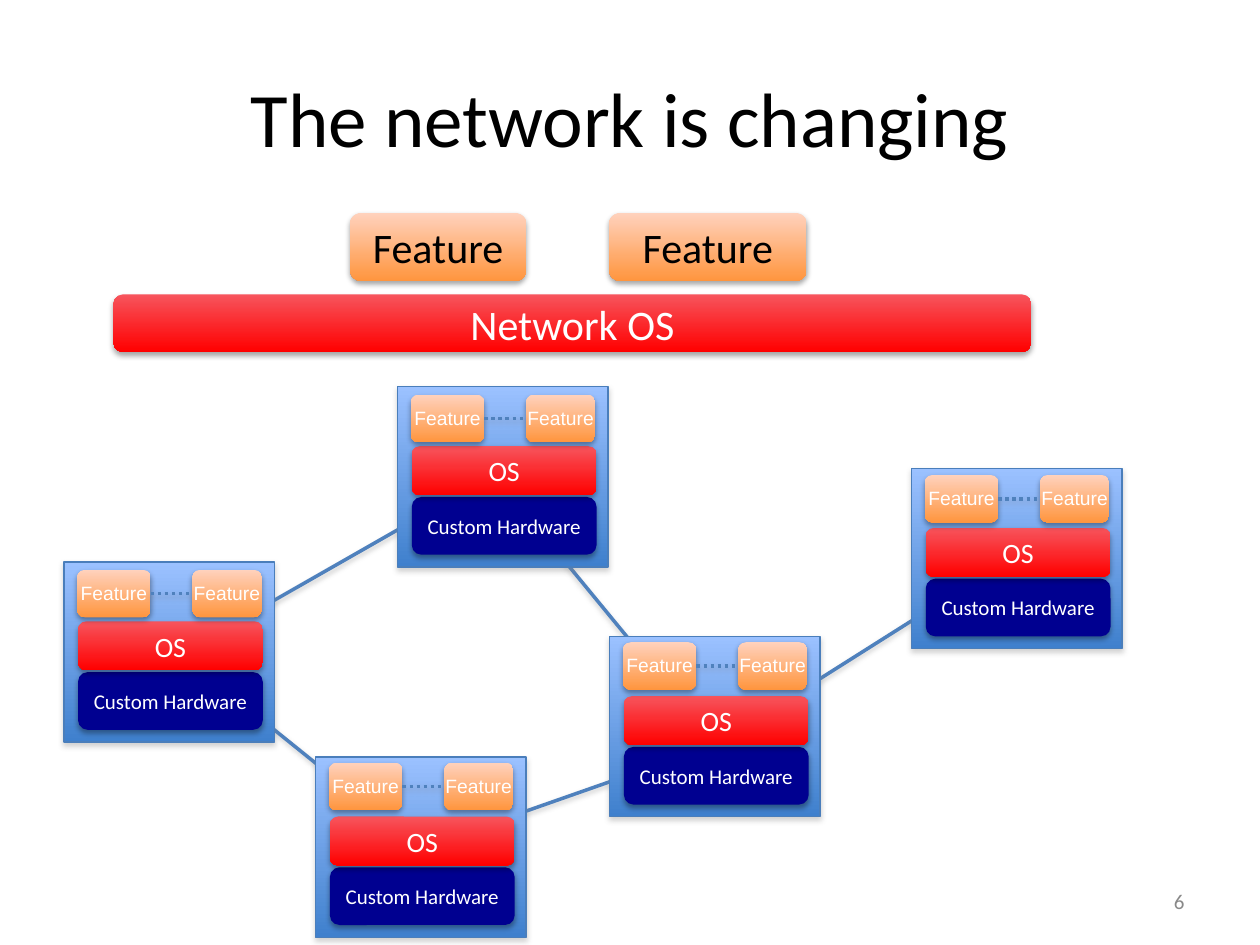
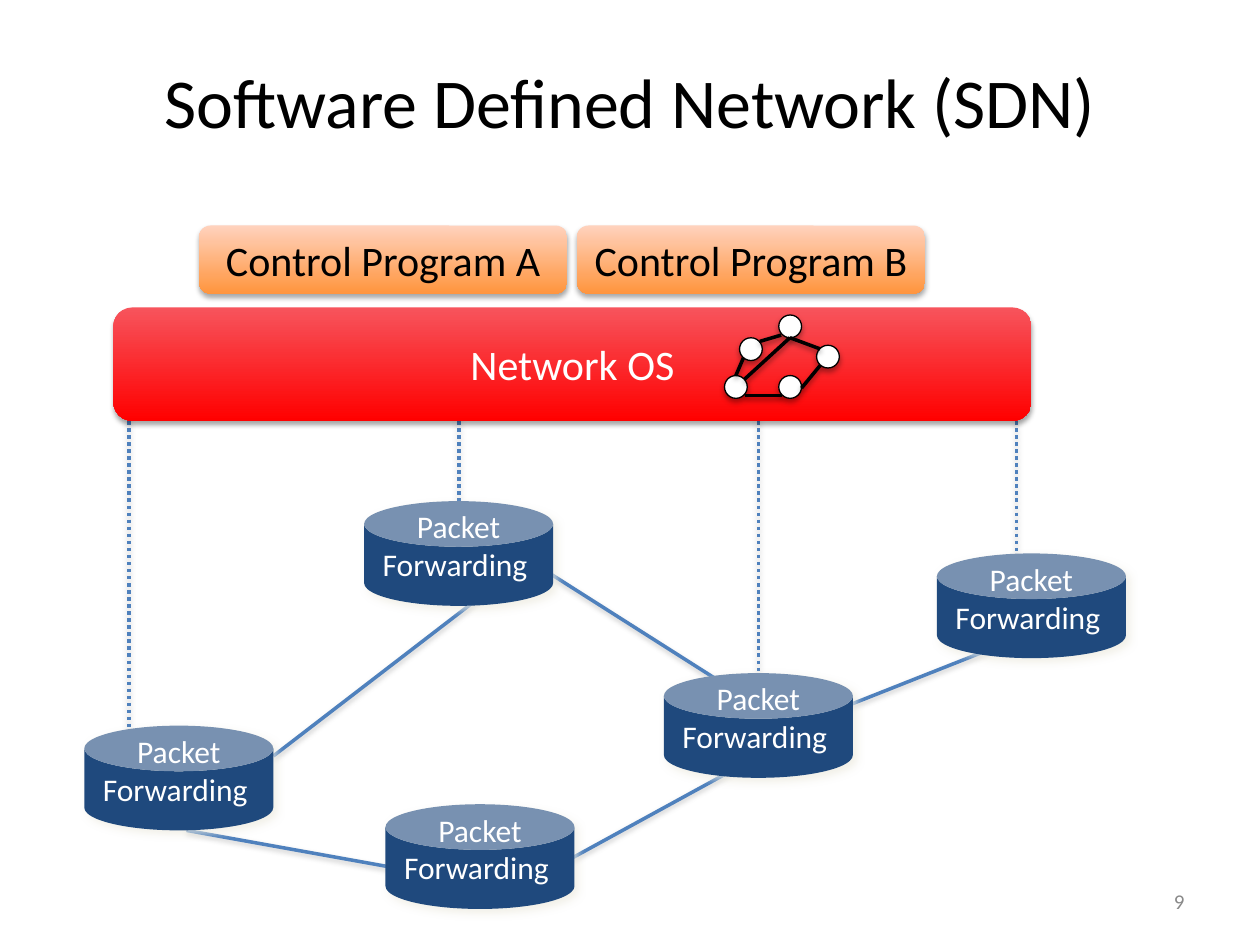
from pptx import Presentation
from pptx import util as u
from pptx.dml.color import RGBColor
from pptx.enum import dml, shapes, text
from pptx.oxml import parse_xml

Pt = u.Pt
COLORS = {
    "white": "FFFFFF", "black": "000000", "gray": "898989", "shade": "808080",
    "link": "4F81BD", "edge": "4A7EBB", "hardware": "000090",
    "can": "1F497D", "glow": "EEECE1",
}
GRADIENTS = {
    "node": ("9BC1FF", "3F80CD"),
    "os": ("F7545C", "FF0000"),
    "feature": ("FFD2BD", "FF953E"),
}
SHADOW = (
    '<a:effectLst xmlns:a="http://schemas.openxmlformats.org/drawingml/2006/main">'
    '<a:outerShdw blurRad="{}" dist="{}" dir="{}" algn="ctr" rotWithShape="0">'
    '<a:srgbClr val="{}"><a:alpha val="{}"/></a:srgbClr></a:outerShdw></a:effectLst>'
)
RECT = shapes.MSO_SHAPE.RECTANGLE
ROUND = shapes.MSO_SHAPE.ROUNDED_RECTANGLE
CAN = shapes.MSO_SHAPE.CAN
OVAL = shapes.MSO_SHAPE.OVAL
CENTER, LEFT, RIGHT = text.PP_ALIGN.CENTER, text.PP_ALIGN.LEFT, text.PP_ALIGN.RIGHT


def box(s, kind, at, fill=None, label="", size=12, color="white", line=None,
        shade="black", align=CENTER, font="Calibri", wrap=True):
    at = [Pt(v) for v in at]
    if kind is None:
        sp = s.shapes.add_textbox(*at)
    else:
        sp = s.shapes.add_shape(kind, *at)
        if fill in GRADIENTS:
            sp.fill.gradient()
            sp.fill.gradient_angle = 270
            for stop, value in zip(sp.fill.gradient_stops, GRADIENTS[fill]):
                stop.color.rgb = RGBColor.from_string(value)
        else:
            sp.fill.solid()
            sp.fill.fore_color.rgb = RGBColor.from_string(COLORS[fill])
        if line:
            sp.line.color.rgb = RGBColor.from_string(COLORS[line])
            sp.line.width = Pt(0.75)
        else:
            sp.line.fill.background()
        if shade == "glow":
            effect = SHADOW.format(Pt(5), Pt(3), 2700000, COLORS[shade], 75000)
        else:
            effect = SHADOW.format(Pt(3.1), Pt(1.8), 5400000, COLORS[shade], 35000)
        sp._element.spPr.append(parse_xml(effect))
    if label:
        tf = sp.text_frame
        tf.text = label
        tf.word_wrap = wrap
        tf.vertical_anchor = text.MSO_ANCHOR.MIDDLE
        for p in tf.paragraphs:
            p.alignment = align
            for r in p.runs:
                r.font.name = font
                r.font.size = Pt(size)
                r.font.color.rgb = RGBColor.from_string(COLORS[color])
    return sp


def link(s, start, end, color="link", shade="shade", dotted=False):
    cx = s.shapes.add_connector(shapes.MSO_CONNECTOR.STRAIGHT,
                                *[Pt(v) for v in (*start, *end)])
    cx.line.color.rgb = RGBColor.from_string(COLORS[color])
    cx.line.width = Pt(2)
    if dotted:
        cx.line.dash_style = dml.MSO_LINE.ROUND_DOT
    effect = SHADOW.format(Pt(3.1), Pt(1.6), 5400000, COLORS[shade], 38000)
    cx._element.spPr.append(parse_xml(effect))
    return cx


prs = Presentation()
prs.slide_width, prs.slide_height = Pt(720), Pt(540)
slides = []
for title, size, top, number in [("The network is changing", 44, 21.6, "6"),
                                 ("Software Defined Network (SDN)", 40, 12.2, "9")]:
    s = prs.slides.add_slide(prs.slide_layouts[6])
    box(s, None, (36, top, 648, 90), label=title, size=size, color="black")
    box(s, None, (516, 500.5, 168, 28.75), label=number, color="gray", align=RIGHT)
    slides.append(s)

s = slides[0]
west, north, south, center, east = ((103, 373.7), (282.2, 271.4), (240.5, 484.6),
                                    (409, 425.5), (581, 316.8))
for a, b in [(west, north), (north, center), (south, center), (west, south), (center, east)]:
    link(s, a, b)

NODES = [(36.6, 321.1, 4.5), (227.3, 221, 4.5), (521, 267.7, 3.7),
         (180.5, 432.6, 3.2), (348.5, 363.8, 3.2)]
for x, y, gap in NODES:
    box(s, RECT, (x, y, 120.2, 103), "node", line="edge", shade="shade")
    box(s, ROUND, (x + 8, y + 63, 105.6, 33), "hardware", "Custom Hardware")
    box(s, ROUND, (x + 8, y + 34, 105.6, 28), "os", "OS", 16)
    first = box(s, ROUND, (x + 7.5, y + gap, 42, 27.2), "feature")
    last = box(s, ROUND, (x + 73.3, y + gap, 39.6, 27.2), "feature")
    dots = link(s, (x + 49.5, y + gap + 13.6), (x + 73.3, y + gap + 13.6), dotted=True)
    dots.begin_connect(first, 3)
    dots.end_connect(last, 1)
    for dx in (2.4, 67):
        box(s, None, (x + dx, y + gap + 2.8, 52.6, 20.6), label="Feature", size=11,
            align=LEFT, font="Arial", wrap=False)

box(s, ROUND, (64.8, 168.2, 524.6, 33), "os", "Network OS", 24)
for x, width in [(200, 100.8), (348, 113)]:
    box(s, ROUND, (x, 121.7, width, 38.9), "feature", "Feature", 24, "black")

s = slides[1]
for a, b in [((156.2, 432), (287.3, 331.2)), ((303.8, 321.1), (408.2, 387.4)),
             ((312.5, 498.2), (433.4, 432)), ((106.6, 474.5), (238.3, 498.2)),
             ((468, 409.7), (581, 365))]:
    link(s, a, b)
for x, bottom in [(73.6, 427), (262.2, 286.6), (433.4, 387.4), (581, 321.1)]:
    link(s, (x, 208.4), (x, bottom), dotted=True)
for x, width, name in [(113.8, 210.2, "A"), (329.8, 198.7, "B")]:
    box(s, ROUND, (x, 128.9, width, 38.9), "feature", f"Control Program {name}", 24, "black")
box(s, ROUND, (64.8, 175.7, 524.6, 64.8), "os", "Network OS", 24)

for x, y in [(48.2, 414.7), (220.3, 459.6), (208.1, 286.4), (379.4, 384.7), (535.4, 316.3)]:
    sp = box(s, CAN, (x, y, 108, 59.8), "can", "Packet\nForwarding ", 18,
             shade="glow", wrap=False)
    sp.adjustments[0] = 0.436
    sp.text_frame.vertical_anchor = text.MSO_ANCHOR.BOTTOM
    sp.text_frame.margin_bottom = 0

for x, y in [(422.6, 193), (445, 180), (445, 214.6), (466.6, 197.3), (414, 214.6)]:
    box(s, OVAL, (x, y, 13, 13), "white", line="black")
for a, b in [((434.2, 195.1), (446.4, 191.5)), ((420.5, 214.6), (424.8, 204.5)),
             ((425.5, 216.7), (451.4, 193)), ((425.5, 226), (447.1, 226)),
             ((451.4, 193), (468.7, 199.4)), ((458, 221.8), (468.7, 208.8))]:
    link(s, a, b, "black", "black")

prs.save("out.pptx")
